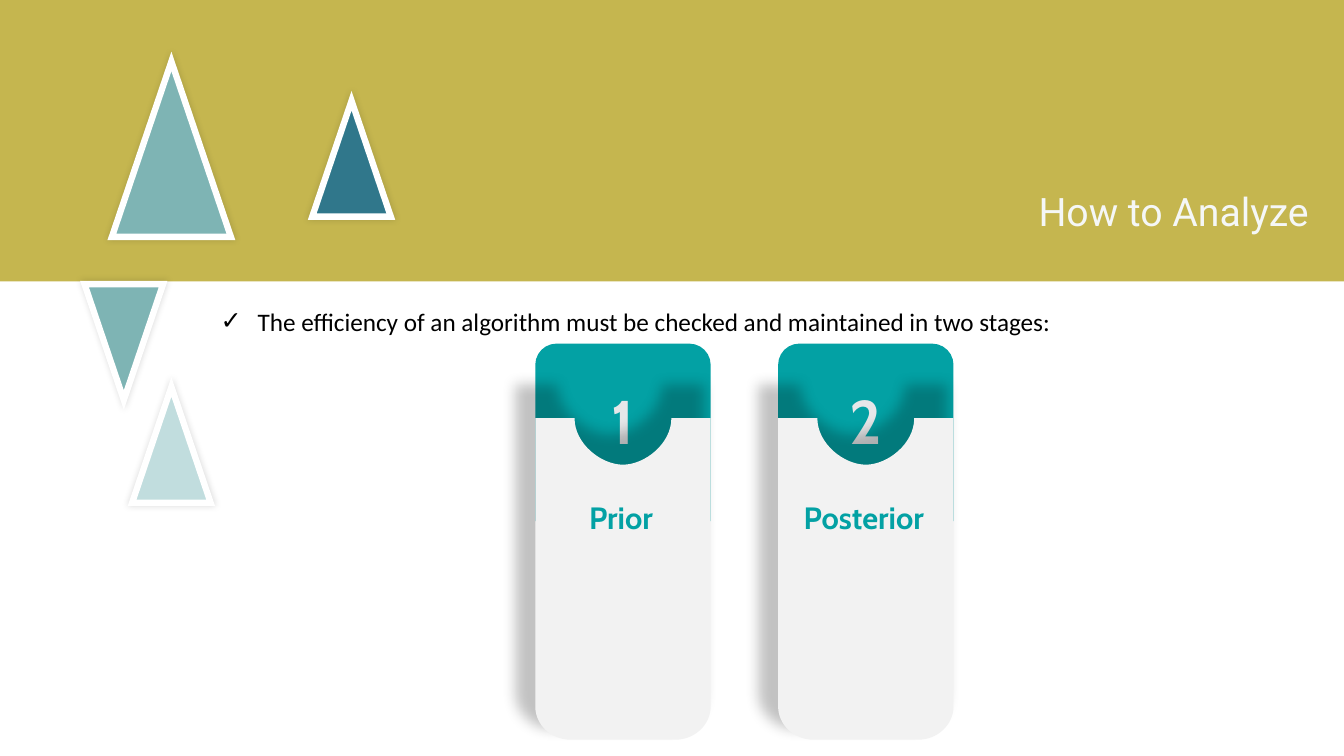
from pptx import Presentation
from pptx.dml.color import RGBColor
from pptx.enum import shapes, text
from pptx.oxml import parse_xml
from pptx.oxml.ns import nsdecls, qn
from pptx.util import Cm, Pt

KIND = shapes.MSO_SHAPE
ALIGN = text.PP_ALIGN
TEAL, WHITE = "03A1A4", "FFFFFF"


def paint(part, code):
    """Give a fill, font or line one solid colour."""
    part.fill.solid()
    part.fill.fore_color.rgb = RGBColor.from_string(code)


def shade(shape, alpha, blur, dist=0, angle=0, scale=100):
    """Add a soft black shadow."""
    shape.shadow.inherit = False
    effects = shape._element.spPr.find(qn("a:effectLst"))
    effects.append(parse_xml(
        f'<a:outerShdw {nsdecls("a")} blurRad="{Pt(blur)}" dist="{Pt(dist)}" '
        f'dir="{angle * 60000}" sx="{scale * 1000}" sy="{scale * 1000}" algn="ctr" '
        f'rotWithShape="0"><a:srgbClr val="000000">'
        f'<a:alpha val="{alpha * 1000}"/></a:srgbClr></a:outerShdw>'))


def block(slide, kind, box, code):
    """Add a plain filled shape."""
    shape = slide.shapes.add_shape(kind, *map(Cm, box))
    shape.shadow.inherit = False
    paint(shape, code)
    shape.line.fill.background()
    return shape


def write(slide, box, words, font, size, code, align, bold=False):
    """Add a text box with one run and return its paragraph."""
    frame = slide.shapes.add_textbox(*map(Cm, box)).text_frame
    frame.word_wrap = True
    frame.auto_size = text.MSO_AUTO_SIZE.SHAPE_TO_FIT_TEXT
    para = frame.paragraphs[0]
    para.alignment = align
    run = para.add_run()
    run.text = words
    run.font.name, run.font.size, run.font.bold = font, Pt(size), bold
    paint(run.font, code)
    return para


def banner(slide, x, y, w, h):
    block(slide, KIND.RECTANGLE, (x, y, w, h), "C5B64F")
    title = write(slide, (x + w - 21.34, y + 4.52, 20.7, 1.45), "How to Analyze",
                  "Roboto", 28, "F5F7F6", ALIGN.RIGHT)
    title.line_spacing = 1.07
    title.space_after = Pt(8)


def point(slide, x, y, w, h):
    para = write(slide, (x, y, w, h),
                 " The efficiency of an algorithm must be checked and maintained in two stages:",
                 "Calibri", 18, "000000", ALIGN.JUSTIFY)
    para.space_after = Pt(10)
    props = para._p.get_or_add_pPr()
    props.set("marL", str(Cm(0.79)))
    props.set("indent", str(-Cm(0.79)))
    props.append(parse_xml(f'<a:buFont {nsdecls("a")} typeface="Calibri"/>'))
    props.append(parse_xml(f'<a:buChar {nsdecls("a")} char="✓"/>'))


def spike(slide, x, y, w, h, code, turn=0):
    shape = block(slide, KIND.ISOSCELES_TRIANGLE, (x, y, w, h), code)
    shape.rotation = turn
    paint(shape.line, WHITE)
    shape.line.width = Pt(4.5)
    shape.line._ln.append(parse_xml(f'<a:miter {nsdecls("a")} lim="800000"/>'))
    shade(shape, 15, 5)


def bend(shape, starts):
    """Turn each three line segments from the given places into one curve."""
    path = shape._element.spPr.find(".//" + qn("a:path"))
    lines = path.findall(qn("a:lnTo"))
    for start in starts:
        curve = parse_xml(f'<a:cubicBezTo {nsdecls("a")}/>')
        lines[start].addprevious(curve)
        for line in lines[start:start + 3]:
            curve.append(line[0])
            path.remove(line)


def panel(slide, x, y, w, h):
    """Draw the grey body with a round notch on top and round lower corners."""
    mid, rx, ry = w / 2, 1.22, 1.17
    cx, cy = 0.89, 0.84
    kx, ky, jx, jy = rx * 0.45, ry * 0.55, cx * 0.45, cy * 0.45
    dots = [
        (mid - rx, 0),
        (mid - rx, ky), (mid - kx, ry), (mid, ry),
        (mid + kx, ry), (mid + rx, ky), (mid + rx, 0),
        (w, 0), (w, h - cy),
        (w, h - jy), (w - jx, h), (w - cx, h),
        (cx, h),
        (jx, h), (0, h - jy), (0, h - cy)]
    pen = slide.shapes.build_freeform(Cm(x), Cm(y))
    pen.add_line_segments([(Cm(x + a), Cm(y + b)) for a, b in dots], close=True)
    body = pen.convert_to_shape()
    bend(body, (1, 4, 9, 13))
    paint(body, "F2F2F2")
    body.line.fill.background()
    shade(body, 23, 10, 18.5, 239, 107)


def card(slide, x, y, w, h, mark, name):
    head = block(slide, KIND.ROUND_2_SAME_RECTANGLE, (x, y, w, 4.47), TEAL)
    head.adjustments[0] = 0.121
    write(slide, (x + 0.97, y + 0.86, 2.49, 2.13), mark,
          "Cabin", 44, "E6E7E9", ALIGN.CENTER, True)
    panel(slide, x, y + 1.88, w, h - 1.88)
    write(slide, (x - 0.05, y + 3.78, w, 1.19), name,
          "Cabin", 22, TEAL, ALIGN.CENTER, True)


def main():
    deck = Presentation()
    deck.slide_width, deck.slide_height = Cm(33.87), Cm(19.05)
    slide = deck.slides.add_slide(deck.slide_layouts[6])

    # Heading and lead sentence
    banner(slide, 0, 0, 33.87, 7.09)
    point(slide, 5.31, 7.59, 27.91, 2.16)

    # Triangles
    small = (1.98, 2.92)
    spike(slide, 2.13, 7.16, *small, "7EB4B4", 180)
    spike(slide, 3.33, 9.75, *small, "C1DDDE")
    spike(slide, 7.87, 2.54, *small, "30778B")
    spike(slide, 2.82, 1.55, 3, 4.42, "7EB4B4")

    # Stages
    for i, name in enumerate(("Prior", "Posterior")):
        card(slide, 13.49 + 6.12 * i, 8.66, 4.42, 9.98, str(i + 1), name)

    deck.save("out.pptx")


if __name__ == "__main__":
    main()
